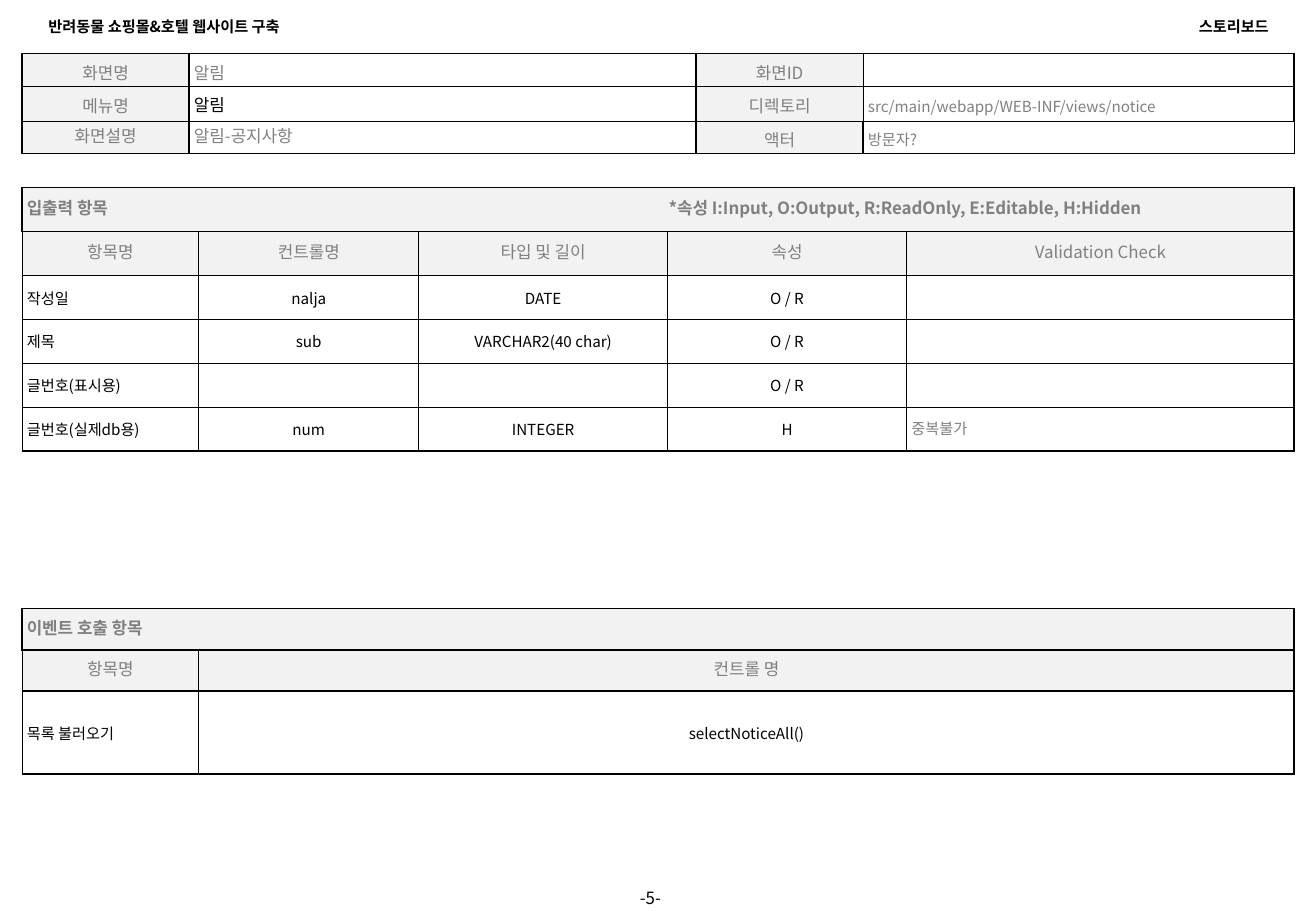
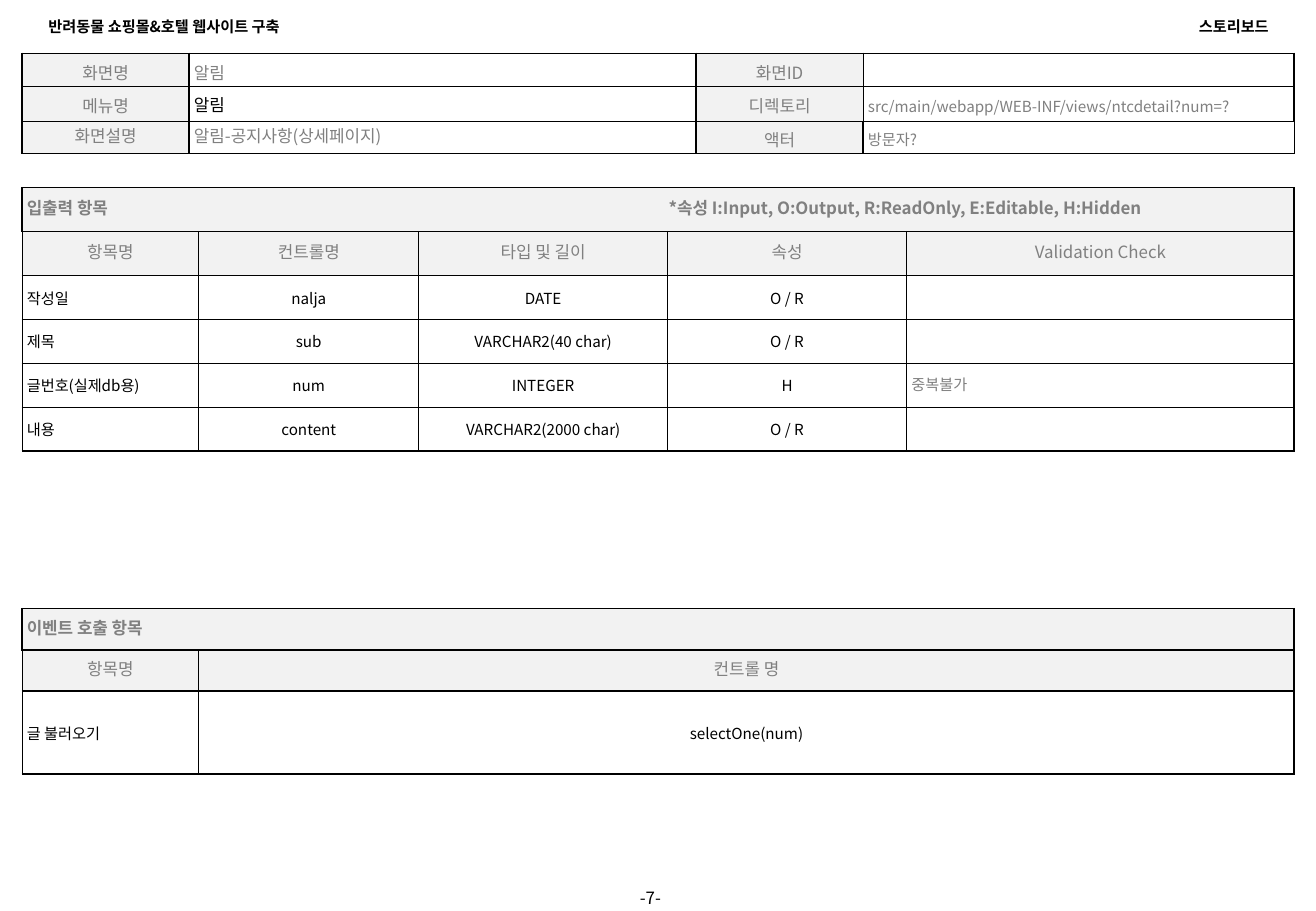
from dataclasses import dataclass, replace

from lxml import etree
from pptx import Presentation
from pptx.dml.color import RGBColor
from pptx.enum.text import MSO_ANCHOR, PP_ALIGN
from pptx.oxml.ns import qn
from pptx.util import Pt

FONT = "Noto Sans CJK KR"
BLACK = RGBColor(0x00, 0x00, 0x00)
GRAY = RGBColor(0x80, 0x80, 0x80)
PALE = RGBColor(0xF2, 0xF2, 0xF2)
LEFT, CENTER, RIGHT = PP_ALIGN.LEFT, PP_ALIGN.CENTER, PP_ALIGN.RIGHT
MIDDLE = MSO_ANCHOR.MIDDLE
THIN, THICK = 0.5, 1
INSET = 2.88

TABLE_LEFT = 13
IO_COLS = [104.8, 130.4, 147.4, 141.8, 229.6]
EVENT_COLS = [IO_COLS[0], sum(IO_COLS[1:])]
INFO_COLS = [99.1, 300.4, 99.1, 255.4]


@dataclass(frozen=True)
class Style:
    size: float = 9
    color: RGBColor = BLACK
    bold: bool = False
    align: PP_ALIGN = LEFT
    line: object = None
    space: float = 0
    fill: RGBColor = None
    tab: float = None


ITEM = Style()
VALUE = Style(align=CENTER)
CHECK = Style(color=GRAY, line=Pt(12))
HEADING = Style(10, GRAY, align=CENTER, line=Pt(12), fill=PALE)
SECTION = replace(HEADING, bold=True, align=LEFT, tab=380.5)
INFO_LABEL = replace(HEADING, line=1.15, space=3)
INFO_TEXT = replace(INFO_LABEL, align=LEFT, fill=None)
INFO_SMALL = replace(INFO_TEXT, size=9)
INFO_MENU = Style(size=10)
INFO_NOTE = replace(HEADING, align=LEFT, fill=None)
RUNNING = Style(bold=True)
PAGE = Style(size=10, align=CENTER)


def write(tf, text, style):
    p = tf.paragraphs[0]
    p.alignment = style.align
    if style.line:
        p.line_spacing = style.line
    if style.space:
        p.space_before = p.space_after = Pt(style.space)
    p.font.size = Pt(style.size)
    p.font.bold = style.bold
    p.font.color.rgb = style.color
    p.font.name = FONT
    props = p._p.pPr.find(qn("a:defRPr"))
    etree.SubElement(props, qn("a:ea"), typeface=FONT)
    if style.tab:
        stops = etree.Element(qn("a:tabLst"))
        etree.SubElement(stops, qn("a:tab"), pos=str(Pt(style.tab)), algn="l")
        props.addprevious(stops)
    if text:
        p.add_run().text = text
    else:
        # An empty cell would otherwise take the default 18 pt line height
        end = etree.SubElement(p._p, qn("a:endParaRPr"))
        end.set("sz", str(int(style.size * 100)))


def add_text(slide, text, style, left, top, width, height, inset=None):
    sp = slide.shapes.add_textbox(Pt(left), Pt(top), Pt(width), Pt(height))
    tf = sp.text_frame
    tf.word_wrap = True
    tf.vertical_anchor = MIDDLE
    if inset is not None:
        tf.margin_left = tf.margin_right = Pt(inset)
        tf.margin_top = tf.margin_bottom = Pt(inset)
    write(tf, text, style)


def set_borders(cell, widths):
    """Draw the left, right, top and bottom borders in black."""
    props = cell._tc.get_or_add_tcPr()
    for i, (side, width) in enumerate(zip("LRTB", widths)):
        ln = etree.Element(qn(f"a:ln{side}"), w=str(Pt(width)))
        fill = etree.SubElement(ln, qn("a:solidFill"))
        etree.SubElement(fill, qn("a:srgbClr"), val=str(BLACK))
        props.insert(i, ln)


def add_grid(slide, top, cols, heights, rows, borders, inset_y=INSET):
    """Place a table of (text, style) cells; borders(row, col) gives line widths."""
    frame = slide.shapes.add_table(len(rows), len(cols), Pt(TABLE_LEFT), Pt(top),
                                   Pt(sum(cols)), Pt(sum(heights)))
    table = frame.table
    table.first_row = table.horz_banding = False
    for column, width in zip(table.columns, cols):
        column.width = Pt(width)
    for row, height in zip(table.rows, heights):
        row.height = Pt(height)
    for r, row in enumerate(rows):
        for c, (text, style) in enumerate(row):
            cell = table.cell(r, c)
            cell.vertical_anchor = MIDDLE
            cell.margin_left = cell.margin_right = Pt(INSET)
            cell.margin_top = cell.margin_bottom = Pt(inset_y)
            if style.fill is None:
                cell.fill.background()
            else:
                cell.fill.solid()
                cell.fill.fore_color.rgb = style.fill
            set_borders(cell, borders(r, c))
            write(cell.text_frame, text, style)
    return table


def add_info(slide, top, directory, description):
    rows = [
        [("화면명", INFO_LABEL), ("알림", INFO_TEXT),
         ("화면ID", INFO_LABEL), ("", INFO_SMALL)],
        [("메뉴명", INFO_LABEL), ("알림", INFO_MENU),
         ("디렉토리", INFO_LABEL), (directory, INFO_SMALL)],
        [("화면설명", HEADING), (description, INFO_NOTE),
         ("액터", INFO_LABEL), ("방문자?", INFO_SMALL)],
    ]

    def borders(r, c):
        left = THIN if c == 3 and r < 2 else THICK
        right = THIN if (c == 2 and r < 2) or (c == 3 and r == 2) else THICK
        return left, right, THICK, THICK

    add_grid(slide, top, INFO_COLS, [19.6, 20.6, 19.2], rows, borders, inset_y=0)


def add_section(slide, top, cols, heights, title, headings, body):
    """Place a table with a title across it, a row of headings and a body."""
    last = len(cols) - 1
    rows = [[(title, SECTION)] + [("", SECTION)] * last,
            [(text, HEADING) for text in headings]]
    for item, *values in body:
        rows.append([(item, ITEM)] + [(text, VALUE) for text in values])
        if last == 4:
            rows[-1][last] = (values[-1], CHECK)

    def borders(r, c):
        left = THICK if r == 0 else THIN
        right = THICK if r == 0 or c == last else THIN
        return left, right, THICK, THICK

    table = add_grid(slide, top, cols, heights, rows, borders)
    table.cell(0, 0).merge(table.cell(0, last))


def add_storyboard(prs, page, directory, description, fields, event):
    slide = prs.slides.add_slide(prs.slide_layouts[6])
    add_text(slide, f"-{page}-", PAGE, 357, 526.4, 57, 11.5, INSET)
    add_text(slide, "반려동물 쇼핑몰&호텔 웹사이트 구축", RUNNING, 21.6, 6.5, 215.4, 18)
    add_text(slide, "스토리보드", replace(RUNNING, align=RIGHT), 543.6, 6.5, 215.4, 18)
    add_section(slide, 111.3, IO_COLS, [26.05] * (len(fields) + 2),
                "입출력 항목\t*속성 I:Input, O:Output, R:ReadOnly, E:Editable, H:Hidden",
                ["항목명", "컨트롤명", "타입 및 길이", "속성", "Validation Check"], fields)
    add_section(slide, 360.7, EVENT_COLS, [24.5, 24.5, 49],
                "이벤트 호출 항목", ["항목명", "컨트롤 명"], [event])
    add_info(slide, 31.7, directory, description)


def main():
    prs = Presentation()
    prs.slide_width, prs.slide_height = Pt(780), Pt(540)
    date = ("작성일", "nalja", "DATE", "O / R", "")
    subject = ("제목", "sub", "VARCHAR2(40 char)", "O / R", "")
    number = ("글번호(실제db용)", "num", "INTEGER", "H", "중복불가")
    shown_number = ("글번호(표시용)", "", "", "O / R", "")
    content = ("내용", "content", "VARCHAR2(2000 char)", "O / R", "")
    add_storyboard(prs, 5, "src/main/webapp/WEB-INF/views/notice", "알림-공지사항",
                   [date, subject, shown_number, number],
                   ("목록 불러오기", "selectNoticeAll()"))
    add_storyboard(prs, 7, "src/main/webapp/WEB-INF/views/ntcdetail?num=?",
                   "알림-공지사항(상세페이지)",
                   [date, subject, number, content],
                   ("글 불러오기", "selectOne(num)"))
    prs.save("out.pptx")


if __name__ == "__main__":
    main()
